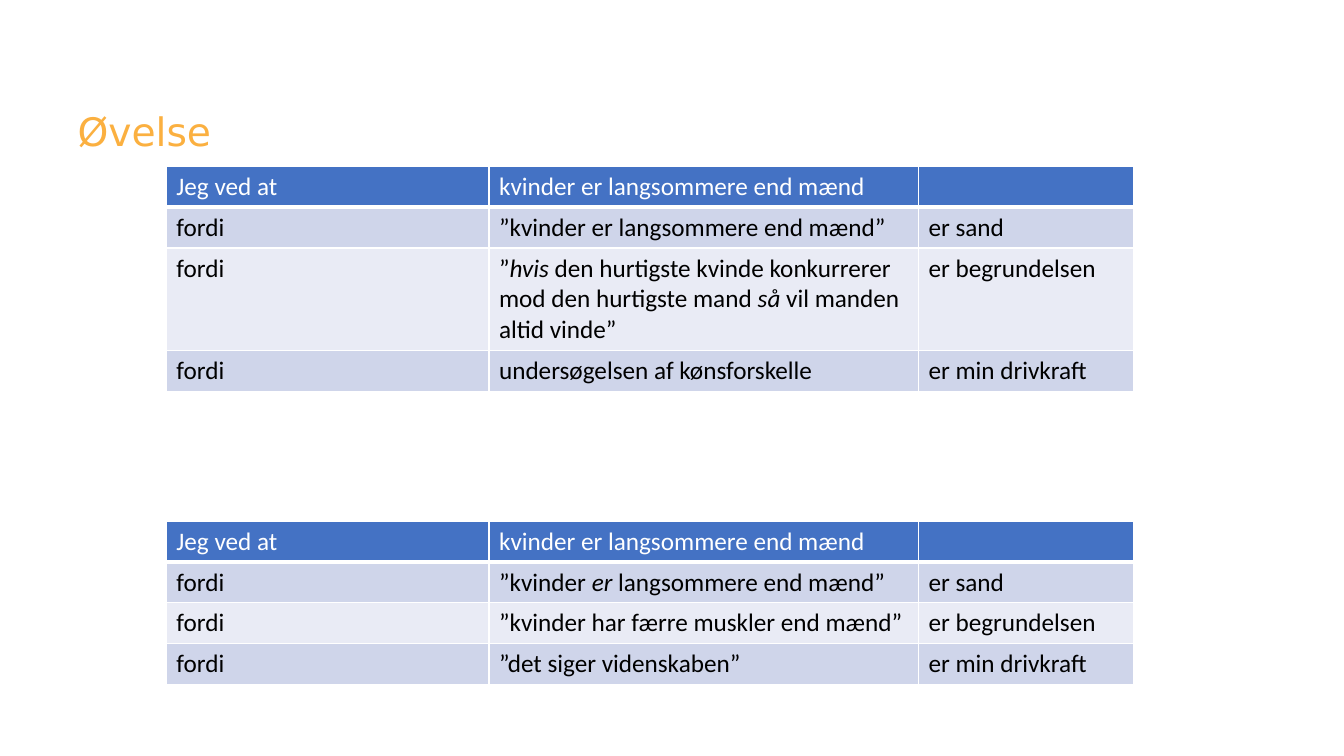
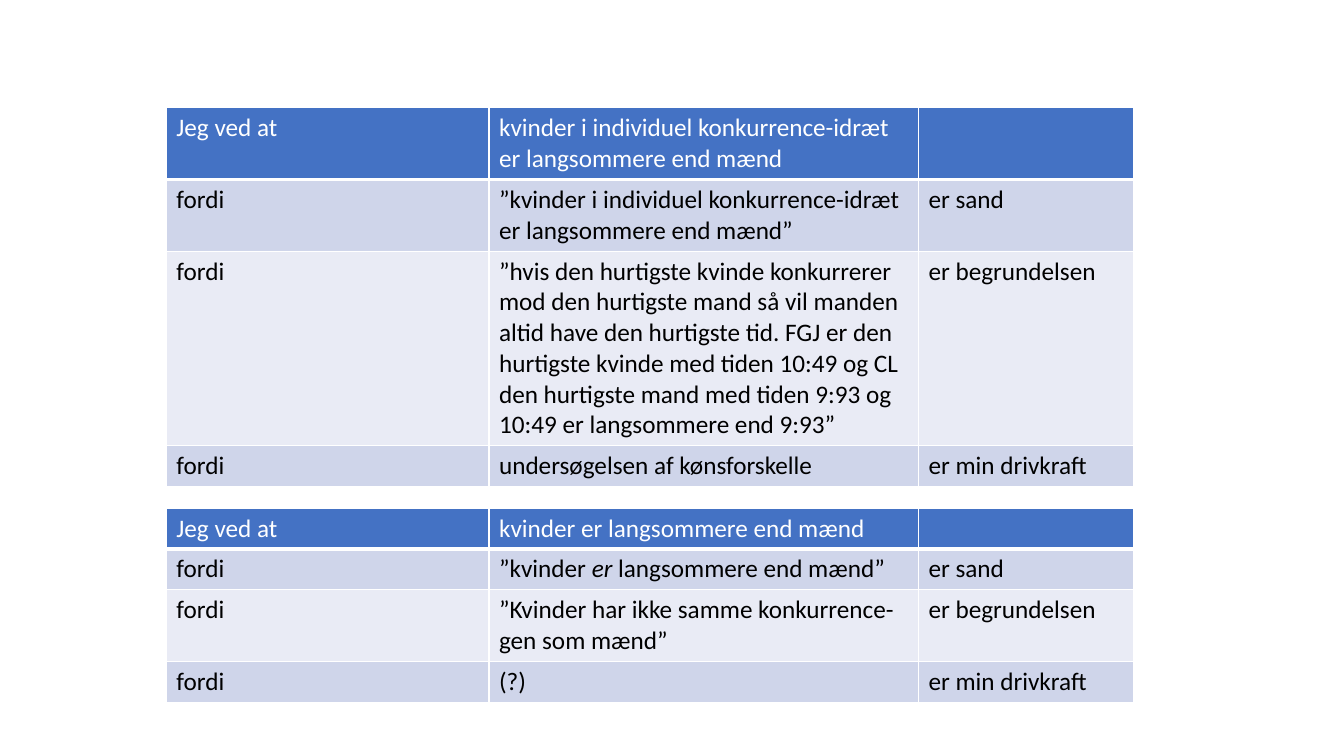
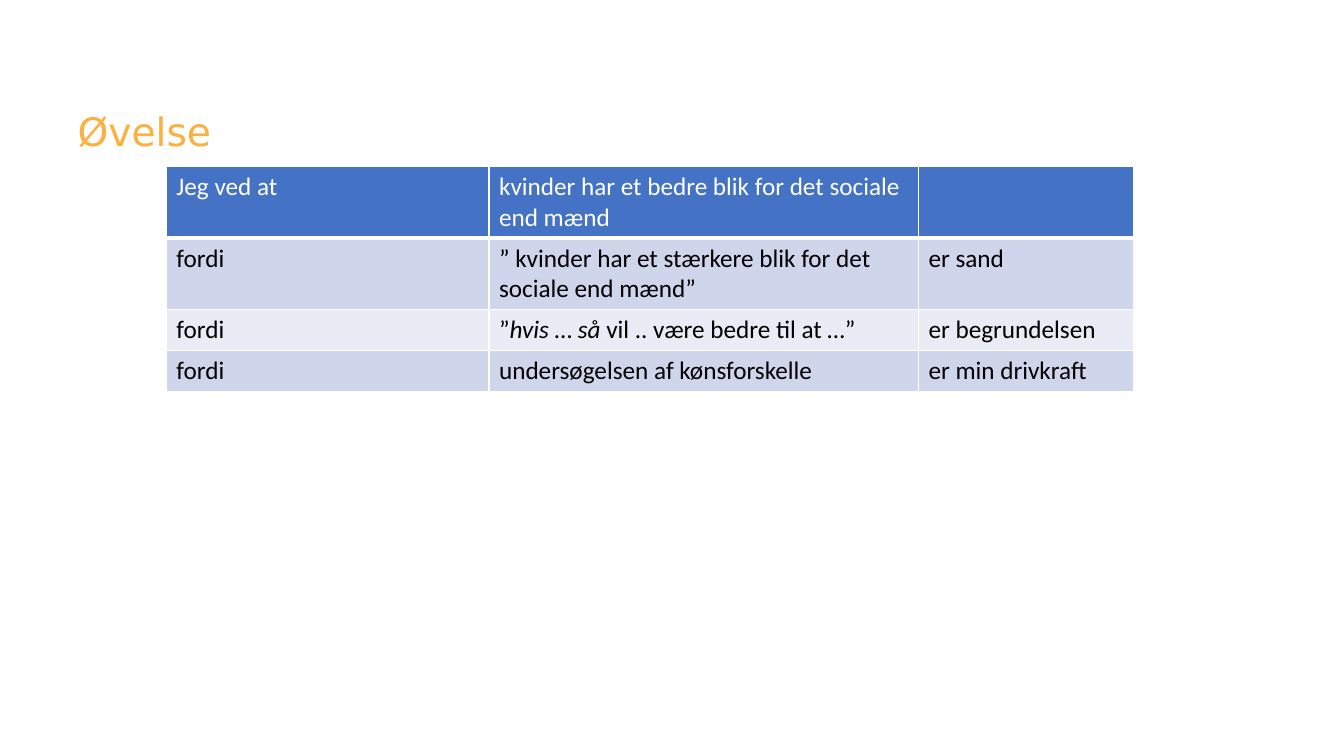
"""Builds three exercise slides with argument tables in one shared style."""
from lxml import etree
from pptx import Presentation
from pptx import util as u
from pptx.dml.color import RGBColor
from pptx.enum import text
from pptx.oxml.ns import qn

PX = 9144
HEADER, BAND_DARK, BAND_LIGHT = "4472C4", "CFD5EA", "E9EBF5"
WHITE, BLACK, ORANGE = "FFFFFF", "000000", "FBB040"
TABLE_LEFT, ROW_HEIGHT = 165, 40
COLUMN_WIDTHS = [320, 426, 213]
FIRST_COLUMN = ["Jeg ved at", "fordi", "fordi", "fordi"]
LAST_COLUMN = ["", "er sand", "er begrundelsen", "er min drivkraft"]
ROW_FILLS = [HEADER, BAND_DARK, BAND_LIGHT, BAND_DARK]

PAGES = [
    ("Øvelse", [
        (165, ["kvinder er langsommere end mænd",
               "”kvinder er langsommere end mænd”",
               "”*hvis* den hurtigste kvinde konkurrerer mod den hurtigste mand "
               "*så* vil manden altid vinde”",
               "undersøgelsen af kønsforskelle"]),
        (517, ["kvinder er langsommere end mænd",
               "”kvinder *er* langsommere end mænd”",
               "”kvinder har færre muskler end mænd”",
               "”det siger videnskaben”"]),
    ]),
    (None, [
        (107, ["kvinder i individuel konkurrence-idræt er langsommere end mænd",
               "”kvinder i individuel konkurrence-idræt er langsommere end mænd”",
               "”hvis den hurtigste kvinde konkurrerer mod den hurtigste mand så vil "
               "manden altid have den hurtigste tid. FGJ er den hurtigste kvinde med "
               "tiden 10:49 og CL den hurtigste mand med tiden 9:93 og 10:49 er "
               "langsommere end 9:93”",
               "undersøgelsen af kønsforskelle"]),
        (504, ["kvinder er langsommere end mænd",
               "”kvinder *er* langsommere end mænd”",
               "”Kvinder har ikke samme konkurrence-gen som mænd”",
               "(?)"]),
    ]),
    ("Øvelse", [
        (165, ["kvinder har et bedre blik for det sociale end mænd",
               "” kvinder har et stærkere blik for det sociale end mænd”",
               "”*hvis* … *så* vil .. være bedre til at …”",
               "undersøgelsen af kønsforskelle"]),
    ]),
]


def add_span(para, words, font, size, colour):
    span = para.add_run()
    span.text = words
    span.font.name = font
    span.font.size = u.Pt(size)
    span.font.bold = False
    span.font.color.rgb = RGBColor.from_string(colour)
    return span


def style_cell(cell, fill, bottom_width):
    properties = cell._tc.get_or_add_tcPr()
    for side, width in [("L", 1), ("R", 1), ("T", 1), ("B", bottom_width)]:
        line = etree.SubElement(properties, qn(f"a:ln{side}"), w=str(u.Pt(width)))
        solid = etree.SubElement(line, qn("a:solidFill"))
        etree.SubElement(solid, qn("a:srgbClr"), val=WHITE)
    cell.fill.solid()
    cell.fill.fore_color.rgb = RGBColor.from_string(fill)


deck = Presentation()
deck.slide_width, deck.slide_height = 1333 * PX, 750 * PX
title_only, blank = deck.slide_layouts[5], deck.slide_layouts[6]

for title, tables in PAGES:
    page = deck.slides.add_slide(title_only if title else blank)
    if title:
        box = page.shapes.title
        box.left, box.top, box.width, box.height = [n * PX for n in (67, 107, 1226, 69)]
        frame = box.text_frame
        frame.auto_size = text.MSO_AUTO_SIZE.NONE
        frame.vertical_anchor = text.MSO_ANCHOR.TOP
        para = frame.paragraphs[0]
        para.alignment = text.PP_ALIGN.LEFT
        para.line_spacing = 0.9
        add_span(para, title, "DejaVu Sans", 28, ORANGE)

    for top, claims in tables:
        table = page.shapes.add_table(
            len(claims), len(COLUMN_WIDTHS), TABLE_LEFT * PX, top * PX,
            sum(COLUMN_WIDTHS) * PX, len(claims) * ROW_HEIGHT * PX).table
        table.horz_banding = False
        for column, width in zip(table.columns, COLUMN_WIDTHS):
            column.width = width * PX
        for r, row in enumerate(zip(FIRST_COLUMN, claims, LAST_COLUMN)):
            for c, words in enumerate(row):
                cell = table.cell(r, c)
                style_cell(cell, ROW_FILLS[r], 1 if r else 3)
                para = cell.text_frame.paragraphs[0]
                for i, part in enumerate(words.split("*")):
                    if part:
                        span = add_span(para, part, "Calibri", 18, BLACK if r else WHITE)
                        span.font.italic = i % 2 == 1

deck.save("out.pptx")
